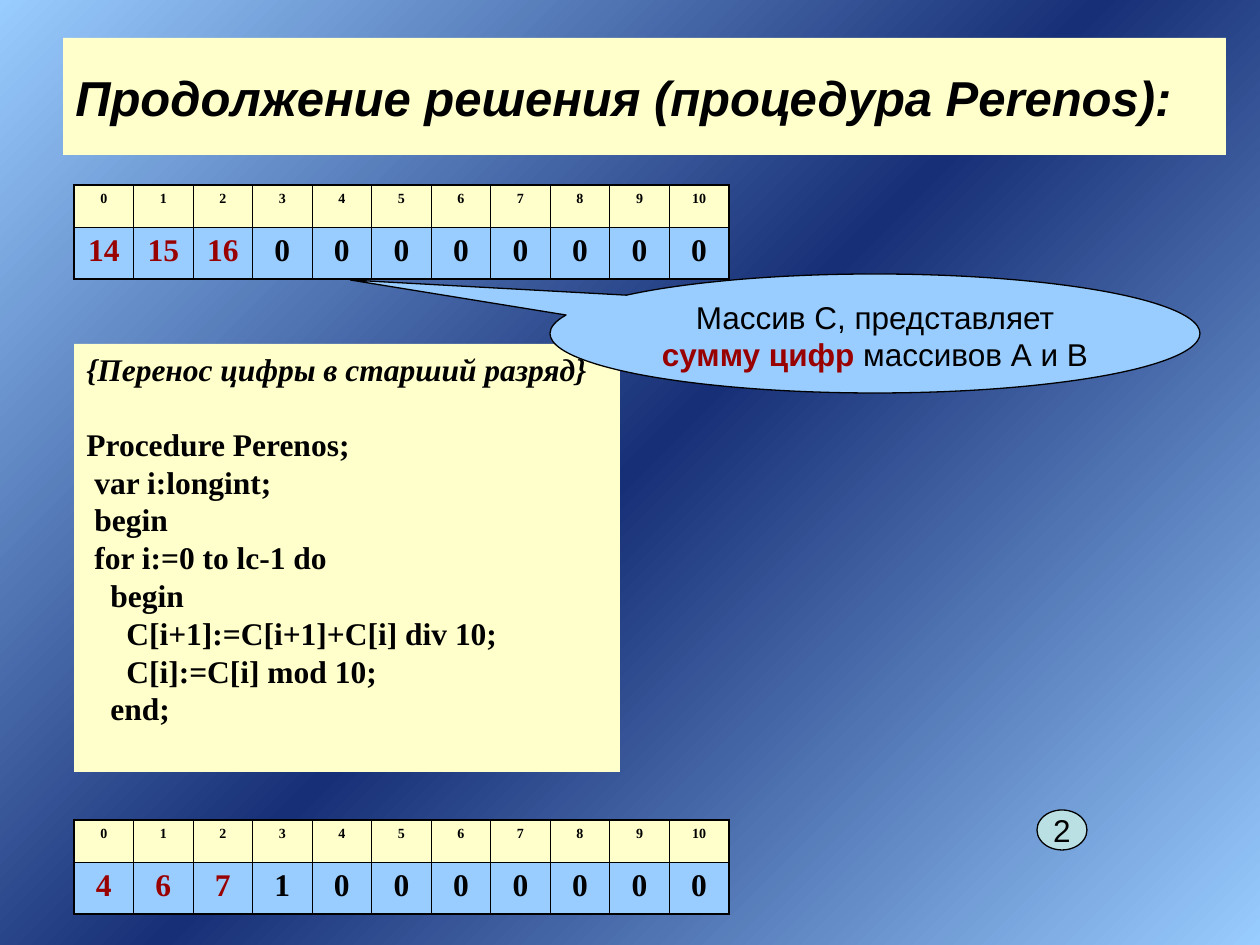
"""Build the slide on carrying digits between array cells."""
from copy import deepcopy
from dataclasses import dataclass
from typing import NamedTuple

from lxml import etree
from pptx import Presentation
from pptx import util as u
from pptx.dml.color import RGBColor
from pptx.enum import shapes, text
from pptx.oxml.ns import qn

EMU_PER_PX = 914400 / 126


@dataclass(frozen=True)
class Theme:
    ink: str = "000000"
    accent: str = "990000"
    cream: str = "FFFFCC"
    sky: str = "99CCFF"
    navy: str = "172F76"
    badge: str = "BBE0E3"
    sans: str = "Arial"
    serif: str = "Times New Roman"
    title_size: int = 28
    body_size: int = 18
    index_size: int = 8
    outline: float = 0.75
    grid: float = 0.45
    frame: float = 1.08


class Box(NamedTuple):
    left: int
    top: int
    width: int
    height: int


class Piece(NamedTuple):
    words: str
    color: str
    bold: bool


class CodeLine(NamedTuple):
    words: str
    depth: int = 0
    italic: bool = False
    space_before: int = 0


class DigitArray(NamedTuple):
    top: int
    digits: list[int]


THEME = Theme()
ARRAY_LEFT, ARRAY_WIDTH = 74, 655
INDEX_HEIGHT, DIGIT_HEIGHT = 42, 52
CHANGED_DIGITS = 3
SPACE_WIDTH = 8

ARRAYS = [
    DigitArray(185, [14, 15, 16] + [0] * 8),
    DigitArray(820, [4, 6, 7, 1] + [0] * 7),
]
CODE = [
    CodeLine("{Перенос цифры в старший разряд}", italic=True),
    CodeLine("Procedure Perenos;", space_before=21),
    CodeLine("var i:longint;", 1),
    CodeLine("begin", 1),
    CodeLine("for i:=0 to lc-1 do", 1),
    CodeLine("begin", 3),
    CodeLine("C[i+1]:=C[i+1]+C[i] div 10;", 5),
    CodeLine("C[i]:=C[i] mod 10;", 5),
    CodeLine("end;", 3),
]
CALLOUT = [
    Piece("Массив С, представляет ", THEME.ink, False),
    Piece("сумму цифр", THEME.accent, True),
    Piece(" массивов А и В", THEME.ink, False),
]


def px(length: int) -> u.Emu:
    return u.Emu(round(length * EMU_PER_PX))


def style(run, size: int, face: str, color: str = THEME.ink, bold: bool = False, italic: bool = False) -> None:
    font = run.font
    font.size, font.name = u.Pt(size), face
    font.bold, font.italic = bold, italic
    font.color.rgb = RGBColor.from_string(color)


def paint_background(slide) -> None:
    fill = slide.background.fill
    fill.gradient()
    fill.gradient_angle = 135
    stops = slide.element.xpath(".//a:gsLst")[0]
    stops.insert(1, deepcopy(stops[0]))
    for stop, position, color in zip(fill.gradient_stops, (0, 0.5, 1), (THEME.sky, THEME.navy, THEME.sky)):
        stop.position = position
        stop.color.rgb = RGBColor.from_string(color)


def add_panel(slide, kind, box: Box, fill: str, outlined: bool = False, anchor=text.MSO_ANCHOR.TOP):
    panel = slide.shapes.add_shape(kind, *map(px, box))
    panel.shadow.inherit = False
    panel.fill.solid()
    panel.fill.fore_color.rgb = RGBColor.from_string(fill)
    if outlined:
        panel.line.color.rgb = RGBColor.from_string(THEME.ink)
        panel.line.width = u.Pt(THEME.outline)
    else:
        panel.line.fill.background()
    frame = panel.text_frame
    frame.word_wrap = True
    frame.vertical_anchor = anchor
    return panel


def add_title(slide) -> None:
    title = add_panel(slide, shapes.MSO_SHAPE.RECTANGLE, Box(63, 38, 1163, 117), THEME.cream,
                      anchor=text.MSO_ANCHOR.MIDDLE)
    title.text_frame.text = "Продолжение решения (процедура Perenos):"
    heading = title.text_frame.paragraphs[0]
    heading.alignment = text.PP_ALIGN.LEFT
    style(heading.runs[0], THEME.title_size, THEME.sans, bold=True, italic=True)


def border_cell(cell, widths: dict[str, float]) -> None:
    properties = cell._tc.get_or_add_tcPr()
    for order, (side, width) in enumerate(widths.items()):
        edge = etree.Element(qn(f"a:ln{side}"), w=str(u.Pt(width)))
        solid = etree.SubElement(edge, qn("a:solidFill"))
        etree.SubElement(solid, qn("a:srgbClr"), val=THEME.ink)
        properties.insert(order, edge)


def fill_cell(cell, value: int, size: int, color: str, fill: str, space_before: float) -> None:
    cell.fill.solid()
    cell.fill.fore_color.rgb = RGBColor.from_string(fill)
    cell.text_frame.text = str(value)
    entry = cell.text_frame.paragraphs[0]
    entry.alignment = text.PP_ALIGN.CENTER
    entry.space_before = u.Pt(space_before)
    style(entry.runs[0], size, THEME.serif, color, bold=True)


def add_array(slide, array: DigitArray) -> None:
    count = len(array.digits)
    box = Box(ARRAY_LEFT, array.top, ARRAY_WIDTH, INDEX_HEIGHT + DIGIT_HEIGHT)
    table = slide.shapes.add_table(2, count, *map(px, box)).table
    table.first_row = table.horz_banding = False
    table.rows[0].height, table.rows[1].height = px(INDEX_HEIGHT), px(DIGIT_HEIGHT)
    for index, digit in enumerate(array.digits):
        table.columns[index].width = px(ARRAY_WIDTH) // count
        index_cell, digit_cell = table.cell(0, index), table.cell(1, index)
        color = THEME.accent if index < CHANGED_DIGITS else THEME.ink
        fill_cell(index_cell, index, THEME.index_size, THEME.ink, THEME.cream, 2)
        fill_cell(digit_cell, digit, THEME.body_size, color, THEME.sky, 4.5)
        sides = {"L": THEME.frame if index == 0 else THEME.grid,
                 "R": THEME.frame if index == count - 1 else THEME.grid}
        border_cell(index_cell, {**sides, "T": THEME.frame, "B": THEME.grid})
        border_cell(digit_cell, {**sides, "T": THEME.grid, "B": THEME.frame})


def add_code(slide) -> None:
    listing = add_panel(slide, shapes.MSO_SHAPE.RECTANGLE, Box(74, 344, 546, 428), THEME.cream)
    listing.text_frame.text = "\n".join(line.words for line in CODE)
    for row, line in zip(listing.text_frame.paragraphs, CODE):
        row.alignment = text.PP_ALIGN.LEFT
        row.space_before = u.Pt(line.space_before)
        row._p.get_or_add_pPr().set("marL", str(px(line.depth * SPACE_WIDTH)))
        style(row.runs[0], THEME.body_size, THEME.serif, bold=True, italic=line.italic)


def add_callout(slide) -> None:
    callout = add_panel(slide, shapes.MSO_SHAPE.OVAL_CALLOUT, Box(550, 274, 650, 119), THEME.sky, outlined=True)
    callout.adjustments[0], callout.adjustments[1] = -0.807, -0.449
    remark = callout.text_frame.paragraphs[0]
    remark.alignment = text.PP_ALIGN.CENTER
    for piece in CALLOUT:
        run = remark.add_run()
        run.text = piece.words
        style(run, THEME.body_size, THEME.sans, piece.color, piece.bold)


def add_badge(slide) -> None:
    badge = add_panel(slide, shapes.MSO_SHAPE.OVAL, Box(1037, 810, 50, 40), THEME.badge, outlined=True,
                      anchor=text.MSO_ANCHOR.MIDDLE)
    badge.text_frame.word_wrap = False
    badge.text_frame.text = "2"
    number = badge.text_frame.paragraphs[0]
    number.alignment = text.PP_ALIGN.CENTER
    style(number.runs[0], THEME.body_size, THEME.sans)


def main() -> None:
    deck = Presentation()
    deck.slide_width, deck.slide_height = px(1260), px(945)
    slide = deck.slides.add_slide(deck.slide_layouts[6])
    paint_background(slide)
    add_title(slide)
    add_code(slide)
    for array in ARRAYS:
        add_array(slide, array)
    add_callout(slide)
    add_badge(slide)
    deck.save("out.pptx")


if __name__ == "__main__":
    main()
